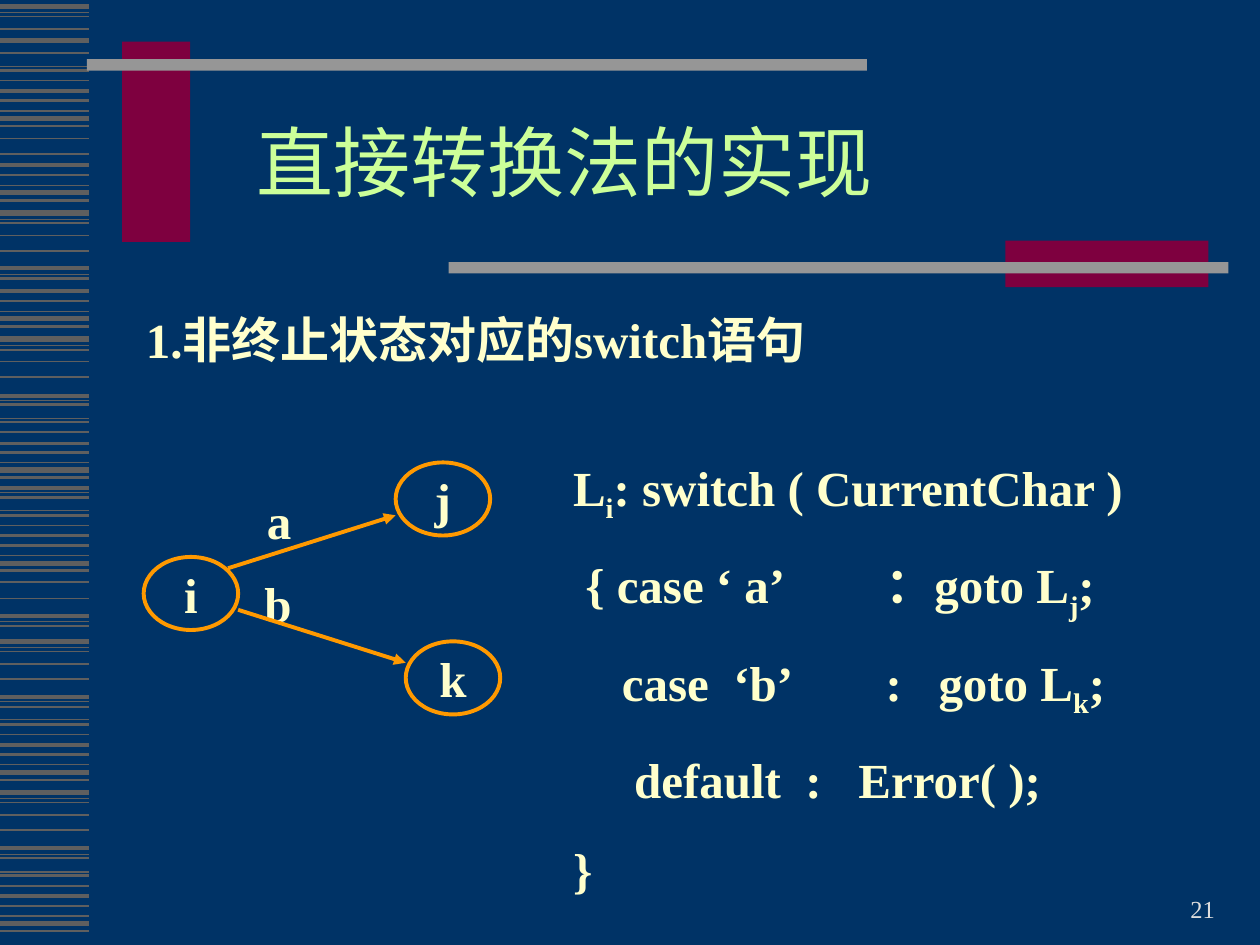
import pptx
import pptx.util
import pptx.dml.color
import pptx.enum.shapes
import pptx.enum.text
import pptx.oxml
import pptx.oxml.ns

Inches, Pt = pptx.util.Inches, pptx.util.Pt
ALIGN = pptx.enum.text.PP_ALIGN
ANCHOR = pptx.enum.text.MSO_ANCHOR
SHAPE = pptx.enum.shapes.MSO_SHAPE
LINE = pptx.enum.shapes.MSO_CONNECTOR.STRAIGHT

FONT = "Times New Roman"
NAVY, GREY, SILVER, MAROON = "003366", "5F5F5F", "969696", "7E003F"
CREAM, LIME, ORANGE, PALE = "FFFFCC", "CCFF99", "FF9900", "DDDDDD"

STRIPE_WIDTH = 0.71
STRIPES = {
    0.75: [0.1, 0.53, 0.88, 1.47, 1.74, 2.18, 2.47, 2.74, 3.18, 3.32, 3.67, 3.91,
           4.05, 4.41, 4.93, 5.14, 5.57, 5.71, 6.07, 6.34, 6.78, 6.92, 7.27],
    1: [0.13, 0.23, 0.64, 1.1, 1.22, 1.77, 1.87, 1.99, 2.78, 2.87, 2.99, 3.43,
        4.17, 4.62, 4.75, 5.17, 5.27, 5.39, 5.83, 6.37, 6.47, 6.59, 7.03],
    1.5: [0.42, 0.56, 0.8, 1, 1.39, 1.59, 2.21, 2.39, 2.59, 3.21, 3.35, 3.59, 3.79,
          3.95, 4.09, 4.33, 4.53, 4.97, 5.61, 5.75, 5.99, 6.19, 6.81, 6.95, 7.19, 7.39],
    2.25: [0.72, 1.31, 2.13, 2.31, 3.14, 3.52, 3.87, 4.25, 4.89, 5.53, 5.91, 6.73, 7.11],
    3: [0.05, 0.32, 0.94, 1.53, 1.69, 2.53, 2.69, 3.73, 4.47, 5.09, 6.13, 6.29, 7.33],
}
BARS = [
    ((0.97, 0.33, 0.54, 1.59), MAROON),
    ((0.69, 0.47, 6.19, 0.09), SILVER),
    ((7.98, 1.91, 1.61, 0.37), MAROON),
    ((3.56, 2.08, 6.19, 0.09), SILVER),
]
TITLE = "直接转换法的实现"
HEADING = "1.非终止状态对应的switch语句"
STATES = [("i", 1.14, 4.42), ("j", 3.14, 3.67), ("k", 3.22, 5.09)]
STATE_SIZE = (0.75, 0.58)
EDGES = [
    ("a", (2.02, 3.84), (1.81, 4.51), (3.14, 4.09)),
    ("b", (2, 4.5), (1.89, 4.84), (3.22, 5.26)),
]
CODE = [
    ("L", "i", ": switch ( CurrentChar )"),
    (" { case ‘ a’\t：goto L", "j", ";"),
    ("    case  ‘b’\t:   goto L", "k", ";"),
    ("     default  :   Error( );",),
    ("}",),
]
CODE_TAB = 2.48


def rgb(value):
    return pptx.dml.color.RGBColor.from_string(value)


def box(place):
    return [Inches(v) for v in place]


def write(sp, lines, size=28, color=CREAM, bold=True, align=ALIGN.LEFT,
          anchor=ANCHOR.TOP, wrap=True, before=0, spacing=None, tab=None):
    tf = sp.text_frame
    tf.word_wrap, tf.vertical_anchor = wrap, anchor
    for n, parts in enumerate(lines):
        p = tf.add_paragraph() if n else tf.paragraphs[0]
        if tab:
            tabs = pptx.oxml.ns.qn("a:tabLst")
            stops = p._p.get_or_add_pPr().makeelement(tabs, {})
            p._p.pPr.append(stops)
            stop = stops.makeelement(pptx.oxml.ns.qn("a:tab"),
                                     {"pos": str(Inches(tab)), "algn": "l"})
            stops.append(stop)
        p.alignment = align
        if spacing:
            p.line_spacing = spacing
        if n:
            p.space_before = Pt(before)
        for m, text in enumerate(parts):
            r = p.add_run()
            r.text = text
            r.font.name, r.font.size, r.font.bold = FONT, Pt(size), bold
            r.font.color.rgb = rgb(color)
            if m % 2:
                r.font._element.set("baseline", "-25000")


def add_text(s, place, lines, **fmt):
    write(s.shapes.add_textbox(*box(place)), lines, **fmt)


def add_line(s, start, end, color, width, arrow=False):
    c = s.shapes.add_connector(LINE, *box(start + end))
    c.line.color.rgb, c.line.width = rgb(color), Pt(width)
    ln = c.line._get_or_add_ln()
    if arrow:
        ln.append(ln.makeelement(pptx.oxml.ns.qn("a:tailEnd"), {"type": "triangle"}))
    sp_pr = c._element.spPr
    sp_pr.append(sp_pr.makeelement(pptx.oxml.ns.qn("a:effectLst"), {}))


def add_shape(s, kind, place, fill=None, line=None):
    sp = s.shapes.add_shape(kind, *box(place))
    sp.shadow.inherit = False
    if fill:
        sp.fill.solid()
        sp.fill.fore_color.rgb = rgb(fill)
    else:
        sp.fill.background()
    if line:
        sp.line.color.rgb, sp.line.width = rgb(line), Pt(2.25)
    else:
        sp.line.fill.background()
    return sp


def main():
    prs = pptx.Presentation()
    prs.slide_width, prs.slide_height = Inches(10), Inches(7.5)
    s = prs.slides.add_slide(prs.slide_layouts[5])
    s.background.fill.solid()
    s.background.fill.fore_color.rgb = rgb(NAVY)

    for width, tops in STRIPES.items():
        for y in tops:
            add_line(s, (0, y), (STRIPE_WIDTH, y), GREY, width)
    for place, color in BARS:
        add_shape(s, SHAPE.RECTANGLE, place, fill=color)

    title = s.shapes.title
    title.left, title.top, title.width, title.height = box((1.06, 0.91, 6.85, 0.84))
    write(title, [(TITLE,)], size=44, color=LIME, bold=False,
          align=ALIGN.CENTER, anchor=ANCHOR.MIDDLE, spacing=0.85)
    add_text(s, (1.06, 2.41, 5.91, 0.57), [(HEADING,)])

    for label, (x, y), start, end in EDGES:
        add_text(s, (x, y, 0.67, 0.57), [(label,)], align=ALIGN.JUSTIFY)
        add_line(s, start, end, ORANGE, 2.25, arrow=True)
    for name, x, y in STATES:
        sp = add_shape(s, SHAPE.OVAL, (x, y, *STATE_SIZE), line=ORANGE)
        write(sp, [(name,)], align=ALIGN.CENTER, anchor=ANCHOR.MIDDLE, wrap=False)

    add_text(s, (4.45, 3.58, 5.16, 3.61), CODE, align=ALIGN.JUSTIFY,
             before=17.5, tab=CODE_TAB)
    add_text(s, (7.34, 6.88, 2.4, 0.5), [("21",)], size=14, color=PALE,
             bold=False, align=ALIGN.RIGHT, anchor=ANCHOR.BOTTOM)
    prs.save("out.pptx")


if __name__ == "__main__":
    main()
